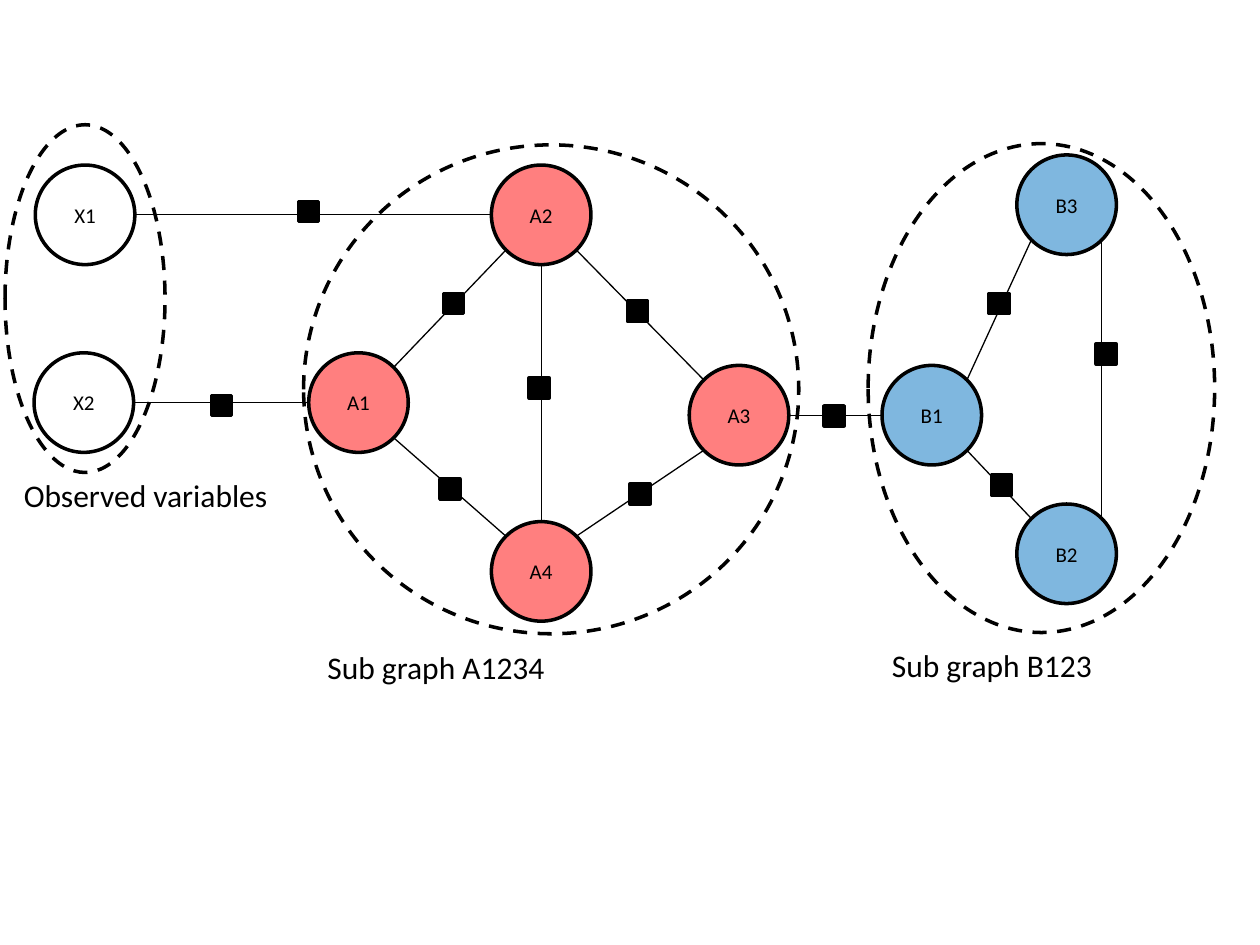
from math import sqrt
from lxml import etree
from pptx import Presentation
from pptx.util import Inches, Pt
from pptx.dml.color import RGBColor
from pptx.enum.dml import MSO_LINE
from pptx.enum.shapes import MSO_CONNECTOR, MSO_SHAPE
from pptx.enum.text import MSO_ANCHOR, PP_ALIGN
from pptx.oxml.ns import qn

OVAL, RECT, STRAIGHT = MSO_SHAPE.OVAL, MSO_SHAPE.RECTANGLE, MSO_CONNECTOR.STRAIGHT
CENTER, MIDDLE, DASH = PP_ALIGN.CENTER, MSO_ANCHOR.MIDDLE, MSO_LINE.DASH

COLORS = {"ink": "000000", "X": "FFFFFF", "A": "FF0000", "B": "0070C0"}
FONT = "Calibri"
NODE, FACTOR = 0.79, 0.16   # node diameter, factor square side
HALF_OPAQUE = "50000"

# Node name: top left corner
NODES = {
    "X1": (0.28, 1.31), "X2": (0.27, 2.8),
    "A1": (2.45, 2.8), "A2": (3.9, 1.31), "A3": (5.47, 2.9), "A4": (3.9, 4.14),
    "B1": (7, 2.9), "B2": (8.07, 4), "B3": (8.07, 1.23),
}
# Start node and side, end node and side, top left corner of the factor
EDGES = [
    ("X2", "E", "A1", "W", (1.68, 3.14)),
    ("A1", "NE", "A2", "SW", (3.52, 2.33)),
    ("A1", "SE", "A4", "NW", (3.49, 3.8)),
    ("A2", "SE", "A3", "NW", (4.98, 2.39)),
    ("A2", "S", "A4", "N", (4.2, 3)),
    ("A4", "NE", "A3", "SW", (5, 3.84)),
    ("B3", "SW", "B1", "NE", (7.85, 2.33)),
    ("A3", "E", "B1", "W", (6.54, 3.22)),
    ("B1", "SE", "B2", "NW", (7.87, 3.77)),
    ("X1", "E", "A2", "W", (2.37, 1.6)),
    ("B3", "SE", "B2", "NE", (8.7, 2.73)),
]
# Dashed outline, caption, top left corner of the caption
ZONES = [
    ((0.04, 0.99, 1.27, 2.76), "Observed variables", (0.09, 3.73)),
    ((2.41, 1.15, 3.93, 3.88), "Sub graph A1234", (2.5, 5.09)),
    ((6.89, 1.14, 2.75, 3.88), "Sub graph B123", (6.98, 5.08)),
]

prs = Presentation()
prs.slide_width, prs.slide_height = Inches(10), Inches(7.5)
s = prs.slides.add_slide(prs.slide_layouts[6])


def color(name):
    return RGBColor.from_string(COLORS[name])


def add_shape(kind, box, fill=None):
    sp = s.shapes.add_shape(kind, *map(Inches, box))
    sp.shadow.inherit = False
    sp.line.color.rgb = color("ink")
    sp.line.width = Pt(2)
    if fill:
        sp.fill.solid()
        sp.fill.fore_color.rgb = color(fill)
    else:
        sp.fill.background()
    return sp


def write(tf, text, size):
    tf.text = text
    font = tf.paragraphs[0].runs[0].font
    font.name, font.size = FONT, Pt(size)
    font.color.rgb = color("ink")


def rim(node, side):
    """Point on the node's circle in a compass direction."""
    dx = ("E" in side) - ("W" in side)
    dy = ("S" in side) - ("N" in side)
    reach = NODE / 2 / sqrt(dx * dx + dy * dy)
    x, y = NODES[node]
    return Inches(x + NODE / 2 + dx * reach), Inches(y + NODE / 2 + dy * reach)


# Nodes
for name, corner in NODES.items():
    sp = add_shape(OVAL, (*corner, NODE, NODE), name[0])
    if name[0] != "X":
        clr = sp.fill._xPr.find(qn("a:solidFill"))[0]
        etree.SubElement(clr, qn("a:alpha")).set("val", HALF_OPAQUE)
    tf = sp.text_frame
    write(tf, name, 12)
    tf.vertical_anchor = MIDDLE
    tf.paragraphs[0].alignment = CENTER

# Edges with their factors
for start, start_side, end, end_side, corner in EDGES:
    add_shape(RECT, (*corner, FACTOR, FACTOR), "ink")
    line = s.shapes.add_connector(STRAIGHT, *rim(start, start_side), *rim(end, end_side))
    line.line.color.rgb = color("ink")
    line.line.width = Pt(0.75)
    etree.SubElement(line._element.spPr, qn("a:effectLst"))

# Zones and captions
for box, caption, corner in ZONES:
    add_shape(OVAL, box).line.dash_style = DASH
    tf = s.shapes.add_textbox(*map(Inches, (*corner, 2.35, 0.4))).text_frame
    tf.word_wrap = True
    write(tf, caption, 18)

prs.save("out.pptx")
